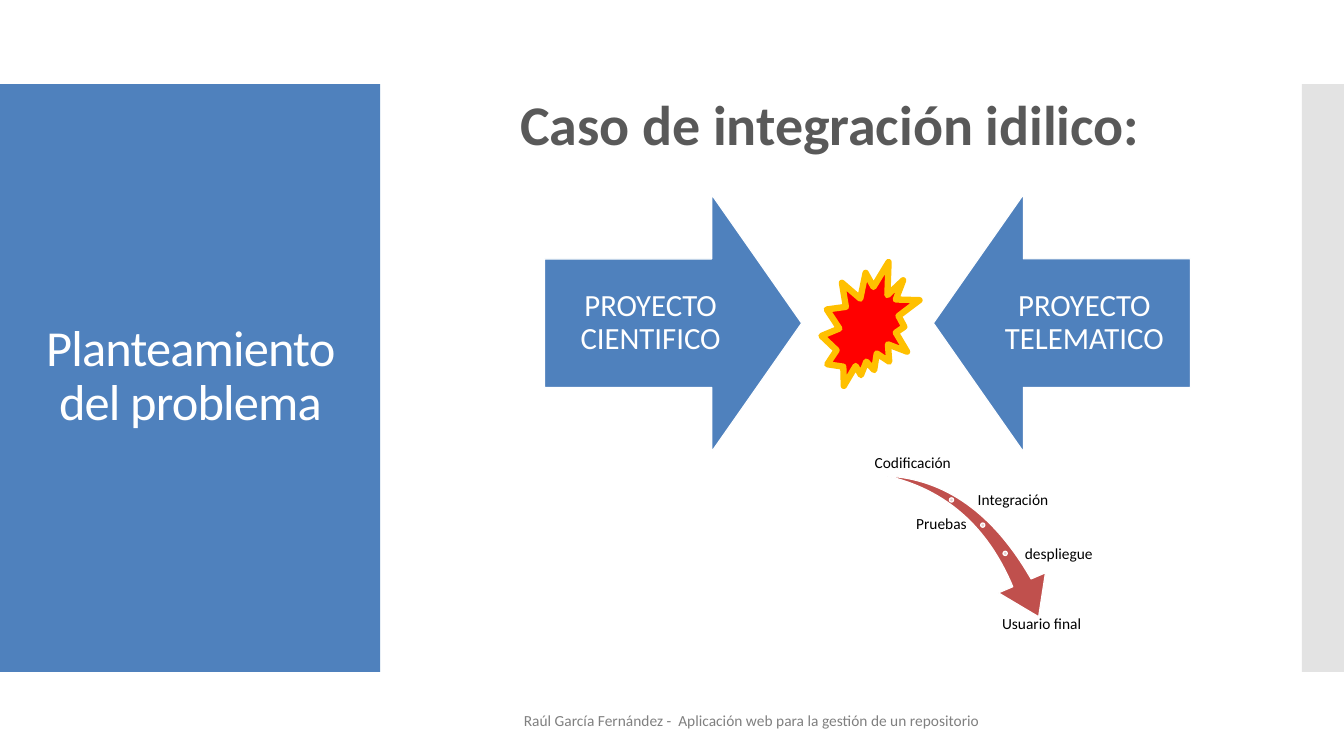
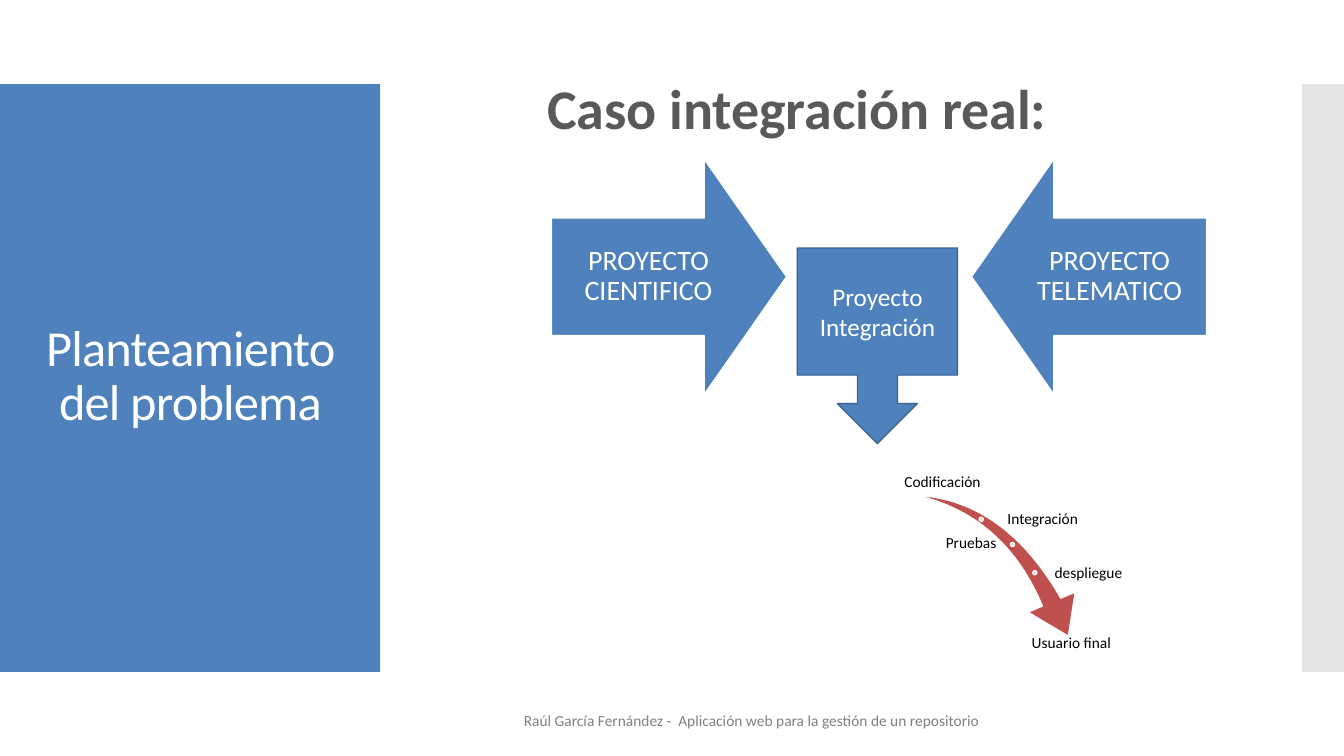
from dataclasses import dataclass

from lxml.etree import SubElement
from pptx import Presentation
from pptx.dml.color import RGBColor
from pptx.enum.shapes import MSO_SHAPE
from pptx.enum.text import MSO_ANCHOR, MSO_AUTO_SIZE, PP_ALIGN
from pptx.oxml.ns import qn
from pptx.util import Pt


@dataclass(frozen=True)
class Theme:
    font: str = "Calibri"
    blue: str = "4F81BD"
    dark_blue: str = "3A5F8C"
    red: str = "C0504D"
    pink: str = "E8D0D0"
    blast: str = "FF0000"
    amber: str = "FFC000"
    band: str = "C8C8C8"
    white: str = "FFFFFF"
    black: str = "000000"
    heading: str = "595959"
    muted: str = "808080"
    title_size: float = 36
    heading_size: float = 40
    callout_size: float = 18
    small_size: float = 11
    thin: float = 0.85
    thick: float = 4.5


THEME = Theme()
FOOTER = "Raúl García Fernández -  Aplicación web para la gestión de un repositorio"


class Sheet:
    """Holds the deck, its style and the slide being filled."""

    def __init__(self, theme):
        self.theme = theme
        self.deck = Presentation()
        self.deck.slide_width, self.deck.slide_height = Pt(960), Pt(540)
        self.layout = self.deck.slide_layouts[5]
        self.page = None

    def start(self, title):
        first = self.page is None
        self.page = self.deck.slides.add_slide(self.layout)
        if first:
            self.share_bands()
        self.title(title)
        self.text(FOOTER, 304.5, 500.5, 465, 28.5, self.theme.small_size, self.theme.muted)

    def share_bands(self):
        """Moves the side bands to the layout, so every slide shows them."""
        left = self.shape(MSO_SHAPE.RECTANGLE, 0, 60, 271.5, 420, self.theme.blue)
        right = self.shape(MSO_SHAPE.RECTANGLE, 930, 60, 30, 420, self.theme.band)
        color = right.element.spPr.find(qn("a:solidFill"))[0]
        SubElement(color, qn("a:alpha")).set("val", "50000")
        for number, band in enumerate((left, right), start=101):
            band.element.xpath("./p:nvSpPr/p:cNvPr")[0].set("id", str(number))
            self.layout.shapes.element.append(band.element)

    def add_lines(self, box, lines, size, color, align=PP_ALIGN.CENTER,
                  anchor=MSO_ANCHOR.MIDDLE, bold=False, spacing=None, inset=None, tracking=None):
        frame = box.text_frame
        frame.auto_size = MSO_AUTO_SIZE.NONE
        frame.word_wrap = True
        frame.vertical_anchor = anchor
        if inset is not None:
            frame.margin_left = frame.margin_right = Pt(inset)
            frame.margin_top = frame.margin_bottom = Pt(inset)
        for index, line in enumerate(lines):
            para = frame.add_paragraph() if index else frame.paragraphs[0]
            para.alignment = align
            if spacing:
                para.line_spacing = spacing
            span = para.add_run()
            span.text = line
            span.font.name, span.font.size = self.theme.font, Pt(size)
            span.font.bold = bold
            span.font.color.rgb = RGBColor.from_string(color)
            if tracking:
                span.font._element.set("spc", str(tracking))

    def title(self, words):
        box = self.page.shapes.title
        box.left, box.top, box.width, box.height = Pt(20), Pt(88.5), Pt(232), Pt(362)
        self.add_lines(box, [words], self.theme.title_size, self.theme.white,
                       spacing=0.9, tracking=-60)

    def text(self, words, left, top, width, height, size, color, **style):
        box = self.page.shapes.add_textbox(Pt(left), Pt(top), Pt(width), Pt(height))
        self.add_lines(box, [words], size, color, **style)
        return box

    def heading(self, words, left, top, width):
        box = self.text(words, left, top, width, 55.5, self.theme.heading_size,
                        self.theme.heading, bold=True, anchor=MSO_ANCHOR.TOP)
        box.text_frame.word_wrap = False

    def shape(self, kind, left, top, width, height, fill, line=None, weight=None, turn=0):
        shape = self.page.shapes.add_shape(kind, Pt(left), Pt(top), Pt(width), Pt(height))
        shape.shadow.inherit = False
        shape.rotation = turn
        shape.fill.solid()
        shape.fill.fore_color.rgb = RGBColor.from_string(fill)
        if line:
            shape.line.color.rgb = RGBColor.from_string(line)
            shape.line.width = Pt(weight or self.theme.thin)
        else:
            shape.line.fill.background()
        return shape

    def project_arrows(self, left, right, top, side, size):
        """Two facing arrows; each label covers the shaft and part of the head."""
        label = side * 0.825
        arrows = (("PROYECTO CIENTIFICO", left, 270, left),
                  ("PROYECTO TELEMATICO", right, 90, right + side - label))
        for words, start, turn, label_left in arrows:
            arrow = self.shape(MSO_SHAPE.DOWN_ARROW, start, top, side, side,
                               self.theme.blue, self.theme.white, turn=turn)
            arrow.adjustments[0], arrow.adjustments[1] = 0.5, 0.35
            self.text(words, label_left, top + side / 4, label, side / 2, size,
                      self.theme.white, spacing=0.9, inset=side / 15)

    def delivery_path(self, left, top):
        """Curved arrow with its stages, placed from the top left corner."""
        swoosh = self.shape(MSO_SHAPE.SWOOSH_ARROW, left + 8.6, top + 29.5, 127.4, 88.5,
                            self.theme.red, self.theme.white, turn=73.3)
        swoosh.adjustments[0], swoosh.adjustments[1] = 0.16, 0.31
        for across, down in ((56.2, 41), (78.5, 59), (94.5, 79.2)):
            self.shape(MSO_SHAPE.OVAL, left + across, top + down, 3, 3,
                       self.theme.pink, self.theme.white)
        stages = (
            ("Codificación", 0, 0, 60, PP_ALIGN.CENTER, MSO_ANCHOR.BOTTOM),
            ("Integración", 75, 31, 88, PP_ALIGN.LEFT, MSO_ANCHOR.MIDDLE),
            ("Pruebas", 0, 48.2, 70, PP_ALIGN.RIGHT, MSO_ANCHOR.MIDDLE),
            ("despliegue", 108.7, 69.2, 53.5, PP_ALIGN.LEFT, MSO_ANCHOR.MIDDLE),
            ("Usuario final", 81.4, 123.8, 81.4, PP_ALIGN.CENTER, MSO_ANCHOR.TOP),
        )
        for words, across, down, width, align, anchor in stages:
            self.text(words, left + across, top + down, width, 23.8, self.theme.small_size,
                      self.theme.black, align=align, anchor=anchor, spacing=0.9, inset=1.4)


sheet = Sheet(THEME)

# Ideal case: both projects meet directly
sheet.start("Planteamiento del problema")
sheet.project_arrows(left=389, right=666.7, top=139, side=183.6, size=22)
sheet.delivery_path(622, 314.6)
sheet.heading("Caso de integración idilico:", 352.8, 60.5, 480)
sheet.shape(MSO_SHAPE.EXPLOSION2, 586.8, 187.2, 70, 88.5, THEME.blast, THEME.amber, THEME.thick)

# Real case: an integration project stands between them
sheet.start("Planteamiento del problema")
sheet.project_arrows(left=394, right=694, top=113.8, side=167.8, size=20)
sheet.delivery_path(643.2, 328.4)
sheet.heading("Caso integración real:", 373.7, 49, 391)
callout = sheet.shape(MSO_SHAPE.DOWN_ARROW_CALLOUT, 569.5, 177.2, 114.5, 139.7,
                      THEME.blue, THEME.dark_blue)
sheet.add_lines(callout, ["Proyecto", "Integración"], THEME.callout_size, THEME.white)

sheet.deck.save("out.pptx")
